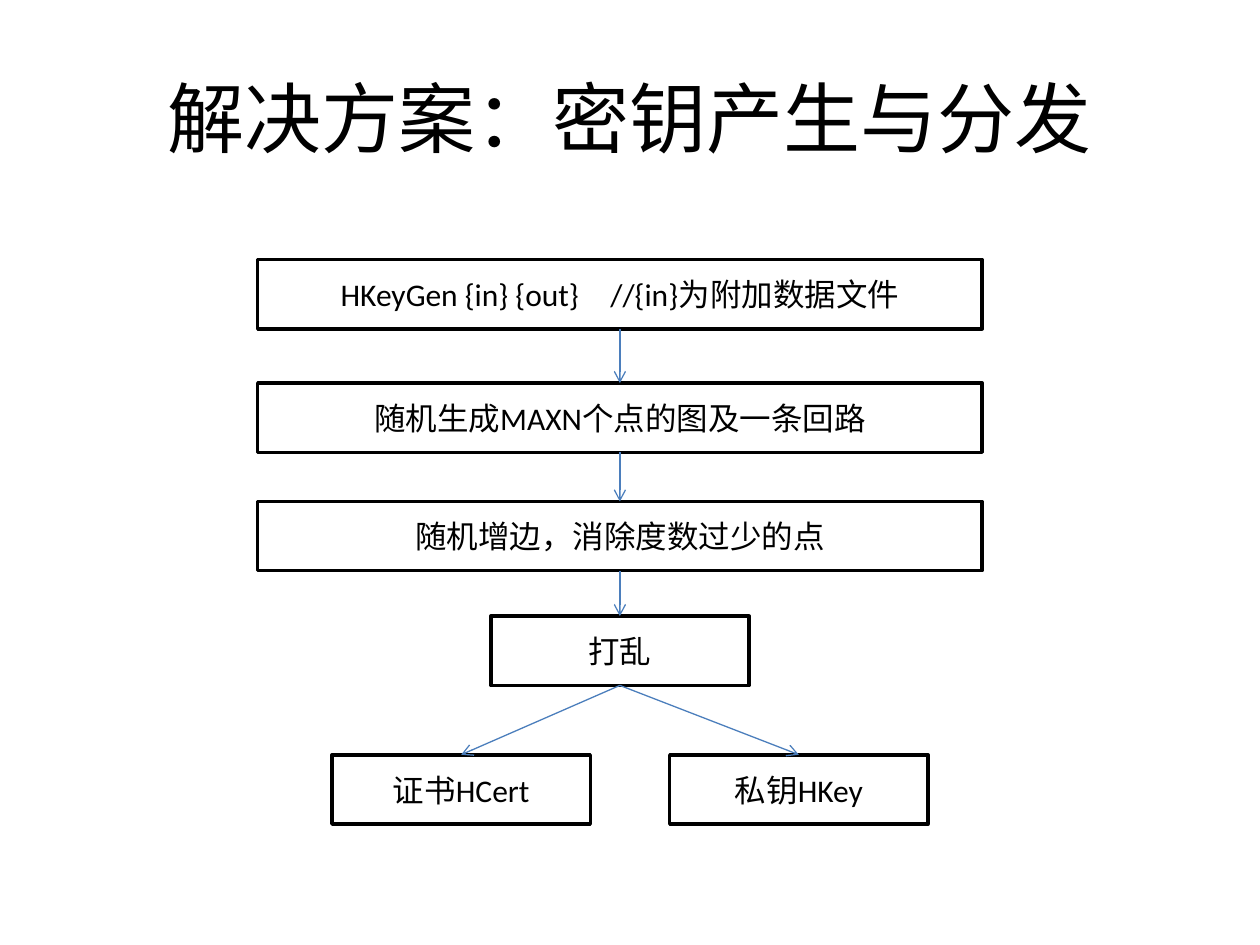
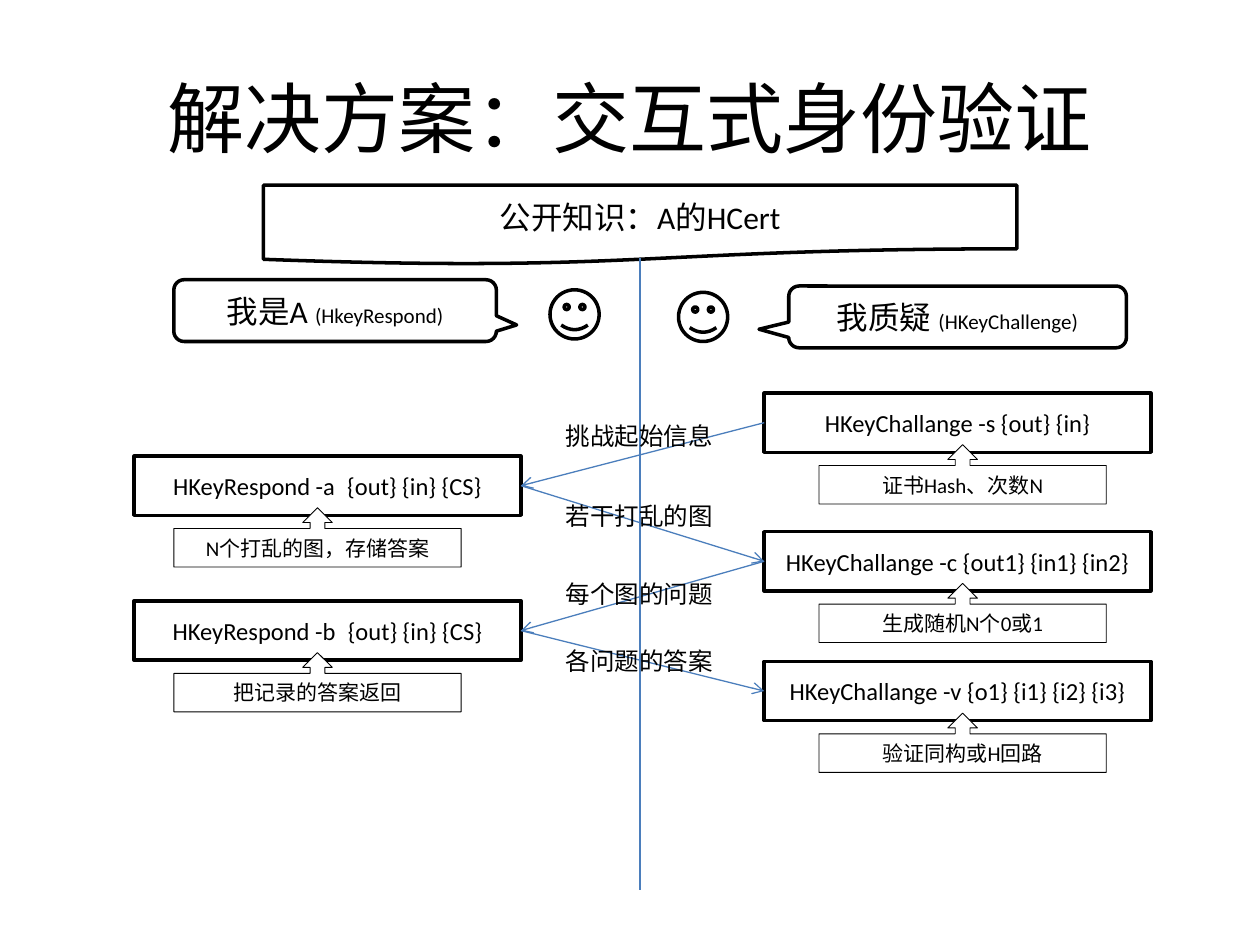
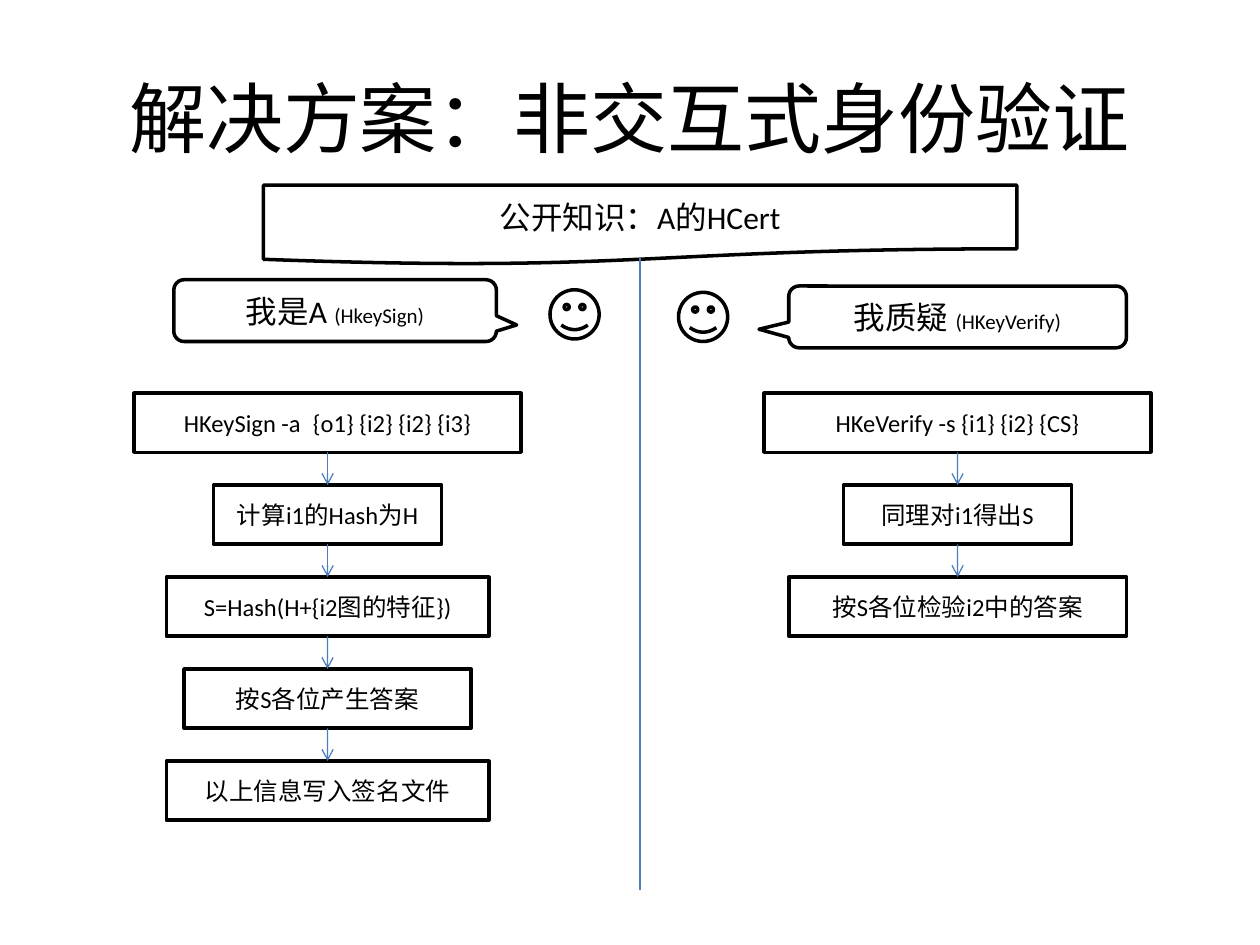
from dataclasses import dataclass
from itertools import pairwise

from pptx import Presentation
from pptx.dml.color import RGBColor
from pptx.enum.shapes import MSO_CONNECTOR as Link, MSO_SHAPE as Shape
from pptx.enum.text import MSO_ANCHOR as Anchor, PP_ALIGN as Align
from pptx.oxml.ns import qn
from pptx.util import Inches, Pt
from lxml.etree import SubElement


@dataclass(frozen=True)
class Theme:
    ink: RGBColor = RGBColor(0, 0, 0)
    paper: RGBColor = RGBColor(255, 255, 255)
    arrow: RGBColor = RGBColor(0x4B, 0x7E, 0xBC)
    font: str = "Calibri"
    title: float = 44
    large: float = 18
    body: float = 14
    small: float = 12
    thick: float = 2
    thin: float = 0.5
    arrow_width: float = 0.75


THEME = Theme()

# Content: key generation, as (text, top)
KEYGEN_TITLE = "解决方案：密钥产生与分发"
KEYGEN_STEPS = [
    ("HKeyGen {in} {out}\u2003//{in}为附加数据文件", 2.06),
    ("随机生成MAXN个点的图及一条回路", 3.04),
    ("随机增边，消除度数过少的点", 3.98),
]
SHUFFLE = ("打乱", 4.89)
KEYGEN_RESULTS = [("证书HCert", 3.66), ("私钥HKey", 6.34)]  # text, centre

# Content: the two parties
PUBLIC_KNOWLEDGE = "公开知识：A的HCert"
PROVER, CHECKER = "我是A ", "我质疑 "

# Content: interactive check, as (side, top, command, note)
INTERACTIVE_TITLE = "解决方案：交互式身份验证"
INTERACTIVE_TOOLS = ("(HkeyRespond)", "(HKeyChallenge)")
EXCHANGE = [
    ("right", 3.12, "HKeyChallange -s {out} {in}", "证书Hash、次数N"),
    ("left", 3.62, "HKeyRespond -a\u2002{out} {in} {CS}", "N个打乱的图，存储答案"),
    ("right", 4.22, "HKeyChallange -c {out1} {in1} {in2}", "生成随机N个0或1"),
    ("left", 4.77, "HKeyRespond -b\u2002{out} {in} {CS}", "把记录的答案返回"),
    ("right", 5.25, "HKeyChallange -v {o1} {i1} {i2} {i3}", "验证同构或H回路"),
]
MESSAGES = [  # text, top, width
    ("挑战起始信息", 3.29, 1.42),
    ("若干打乱的图", 3.93, 1.67),
    ("每个图的问题", 4.55, 1.57),
    ("各问题的答案", 5.08, 1.4),
]

# Content: non-interactive check, as (text, width)
SIGNATURE_TITLE = "解决方案：非交互式身份验证"
SIGNATURE_TOOLS = ("(HkeySign)", "(HKeyVerify)")
SIGNATURE_FLOWS = {
    "left": [
        ("HKeySign -a\u2002{o1} {i2} {i2} {i3}", 3.07),
        ("计算i1的Hash为H", 1.81),
        ("S=Hash(H+{i2图的特征})", 2.56),
        ("按S各位产生答案", 2.28),
        ("以上信息写入签名文件", 2.56),
    ],
    "right": [
        ("HKeVerify -s {i1} {i2} {CS}", 3.07),
        ("同理对i1得出S", 1.81),
        ("按S各位检验i2中的答案", 2.68),
    ],
}

# Grid, in inches
WIDTH, HEIGHT = 10, 7.5
COLUMN = {"left": 2.6, "right": 7.6}
NOTE_COLUMN = {"left": 2.52, "right": 7.64}
DIVIDER = 5.08
KEYGEN_CENTRE, RESULT_TOP = 4.92, 5.99
KEYGEN_WIDTH, KEYGEN_SHORT, KEYGEN_HEIGHT = 5.75, 2.05, 0.55
COMMAND_WIDTH, NOTE_WIDTH, BOX_HEIGHT = 3.07, 2.28, 0.47
NOTE_DROP, FLOW_TOP, FLOW_PITCH = 0.41, 3.12, 0.73
TOP, LEFT, BOTTOM, RIGHT = range(4)  # connection sites of a rectangle


def apply(target, values):
    for name, value in values.items():
        setattr(target, name, value)


def write(frame, runs, align=Align.CENTER, anchor=Anchor.MIDDLE):
    """Fill a text frame with one paragraph of (text, size) runs."""
    apply(frame, {"word_wrap": True, "vertical_anchor": anchor})
    line = frame.paragraphs[0]
    line.alignment = align
    for text, size in runs:
        run = line.add_run()
        run.text = text
        apply(run.font, {"size": Pt(size), "name": THEME.font})
        run.font.color.rgb = THEME.ink


def box(slide, centre, top, width, height, runs=(), kind=Shape.RECTANGLE,
        border=THEME.thick):
    """Draw an outlined white shape around a centre line."""
    shape = slide.shapes.add_shape(
        kind, *map(Inches, (centre - width / 2, top, width, height)))
    shape.shadow.inherit = False
    shape.fill.solid()
    shape.fill.fore_color.rgb = THEME.paper
    shape.line.color.rgb = THEME.ink
    shape.line.width = Pt(border)
    write(shape.text_frame, runs)
    return shape


def label(slide, left, top, width, height, text, size, **layout):
    area = slide.shapes.add_textbox(*map(Inches, (left, top, width, height)))
    write(area.text_frame, [(text, size)], **layout)


def rule(slide, start=(0, 0), end=(0, 0)):
    line = slide.shapes.add_connector(
        Link.STRAIGHT, *map(Inches, (*start, *end)))
    line.line.color.rgb = THEME.arrow
    line.line.width = Pt(THEME.arrow_width)
    SubElement(line._element.spPr, qn("a:effectLst"))
    return line


def arrow(slide, source, target, exit_site=BOTTOM, entry_site=TOP):
    line = rule(slide)
    line.begin_connect(source, exit_site)
    line.end_connect(target, entry_site)
    SubElement(line.line._get_or_add_ln(), qn("a:tailEnd"), type="arrow")


def chain(slide, boxes):
    for source, target in pairwise(boxes):
        arrow(slide, source, target)


def new_slide(title):
    slide = deck.slides.add_slide(deck.slide_layouts[6])
    label(slide, 0.05 * WIDTH, 0.04 * HEIGHT, 0.9 * WIDTH, HEIGHT / 6,
          title, THEME.title)
    return slide


def party_slide(title, tools):
    """Start a slide with public knowledge above two talking parties."""
    slide = new_slide(title)
    box(slide, DIVIDER, 1.47, 5.98, 0.63, [(PUBLIC_KNOWLEDGE, THEME.large)],
        Shape.FLOWCHART_DOCUMENT)
    rule(slide, (DIVIDER, 2.05), (DIVIDER, 7.06))
    for centre, top in ((4.56, 2.3), (5.58, 2.32)):
        box(slide, centre, top, 0.39, 0.39, kind=Shape.SMILEY_FACE)
    bubbles = [
        (PROVER, 2.66, 2.22, 2.56, (0.563, 0.232)),
        (CHECKER, 7.6, 2.27, 2.68, (-0.588, 0.2)),
    ]
    for (speech, centre, top, width, tip), tool in zip(bubbles, tools):
        bubble = box(slide, centre, top, width, 0.49,
                     [(speech, THEME.large), (tool, THEME.small)],
                     Shape.ROUNDED_RECTANGULAR_CALLOUT)
        for index, share in enumerate(tip):
            bubble.adjustments[index] = share
    return slide


deck = Presentation()
apply(deck, {"slide_width": Inches(WIDTH), "slide_height": Inches(HEIGHT)})

# Key generation and distribution
keygen = new_slide(KEYGEN_TITLE)
steps = [box(keygen, KEYGEN_CENTRE, top, KEYGEN_WIDTH, KEYGEN_HEIGHT,
             [(text, THEME.large)]) for text, top in KEYGEN_STEPS]
shuffle_text, shuffle_top = SHUFFLE
shuffle = box(keygen, KEYGEN_CENTRE, shuffle_top, KEYGEN_SHORT, KEYGEN_HEIGHT,
              [(shuffle_text, THEME.large)])
results = [box(keygen, centre, RESULT_TOP, KEYGEN_SHORT, KEYGEN_HEIGHT,
               [(text, THEME.large)]) for text, centre in KEYGEN_RESULTS]
chain(keygen, [*steps, shuffle])
for result in results:
    arrow(keygen, shuffle, result)

# Interactive check: commands, messages between them, then notes on top
interactive = party_slide(INTERACTIVE_TITLE, INTERACTIVE_TOOLS)
commands = [box(interactive, COLUMN[side], top, COMMAND_WIDTH, BOX_HEIGHT,
                [(command, THEME.body)]) for side, top, command, _ in EXCHANGE]
for (source, target), (sender, *_), (text, top, width) in zip(
        pairwise(commands), EXCHANGE, MESSAGES):
    sites = (LEFT, RIGHT) if sender == "right" else (RIGHT, LEFT)
    arrow(interactive, source, target, *sites)
    label(interactive, 4.39, top, width, 0.34, text, THEME.body,
          align=Align.LEFT, anchor=Anchor.TOP)
for side, top, _, note in EXCHANGE:
    box(interactive, NOTE_COLUMN[side], top + NOTE_DROP, NOTE_WIDTH, BOX_HEIGHT,
        [(note, THEME.small)], Shape.UP_ARROW_CALLOUT, THEME.thin)

# Non-interactive check: one chain on each side
signature = party_slide(SIGNATURE_TITLE, SIGNATURE_TOOLS)
for side, flow in SIGNATURE_FLOWS.items():
    chain(signature, [
        box(signature, COLUMN[side], FLOW_TOP + row * FLOW_PITCH, width,
            BOX_HEIGHT, [(text, THEME.body)])
        for row, (text, width) in enumerate(flow)])

deck.save("out.pptx")
